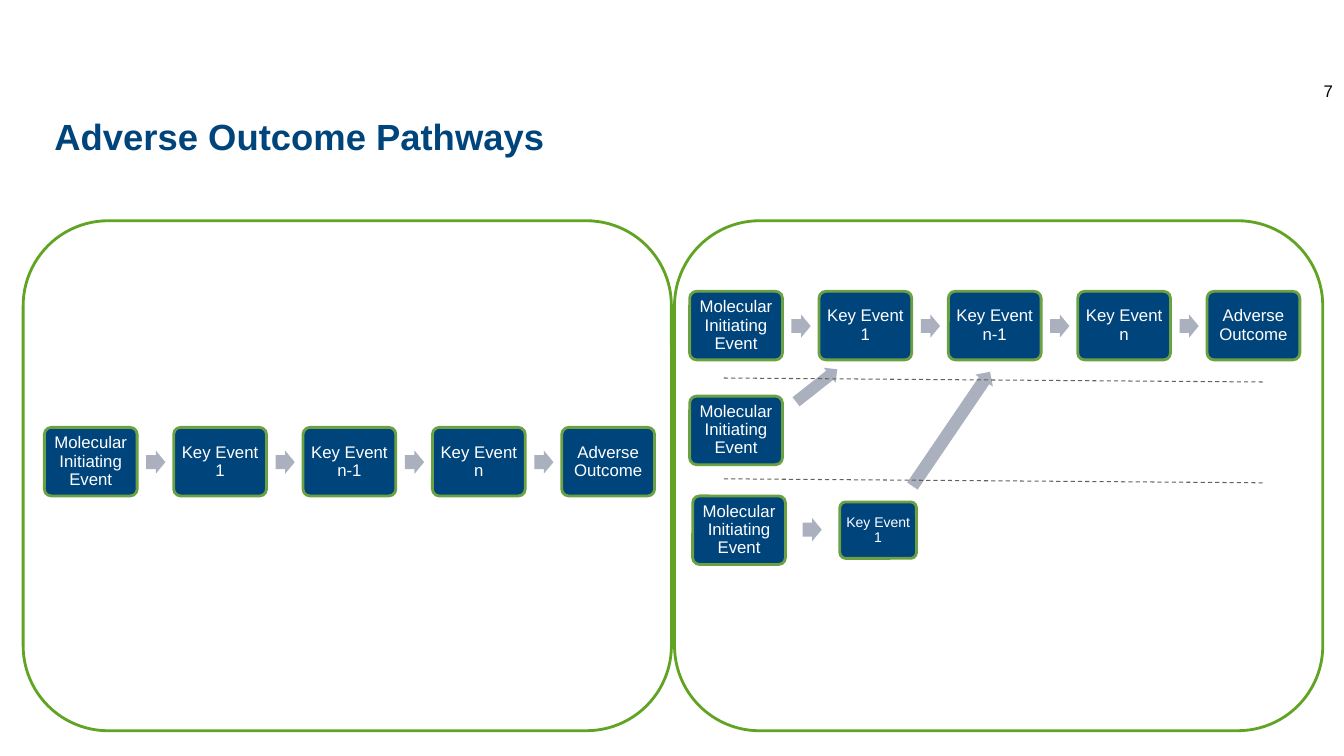
from dataclasses import dataclass
from lxml import etree
from pptx import Presentation
from pptx.dml.color import RGBColor
from pptx.enum.dml import MSO_LINE
from pptx.enum.shapes import MSO_CONNECTOR, MSO_SHAPE
from pptx.enum.text import MSO_ANCHOR, PP_ALIGN
from pptx.oxml.ns import qn
from pptx.util import Inches, Pt

ROUND, ARROW = MSO_SHAPE.ROUNDED_RECTANGLE, MSO_SHAPE.RIGHT_ARROW
STRAIGHT, DASH = MSO_CONNECTOR.STRAIGHT, MSO_LINE.DASH
TOP, MIDDLE = MSO_ANCHOR.TOP, MSO_ANCHOR.MIDDLE
LEFT, CENTER = PP_ALIGN.LEFT, PP_ALIGN.CENTER


@dataclass(frozen=True)
class Theme:
    font: str = "Arial"
    navy: RGBColor = RGBColor(0x00, 0x44, 0x7C)
    edge: RGBColor = RGBColor(0x6B, 0xA1, 0x43)
    panel: RGBColor = RGBColor(0x61, 0xA4, 0x24)
    arrow: RGBColor = RGBColor(0xAB, 0xB0, 0xBF)
    dash: RGBColor = RGBColor(0x62, 0x63, 0x57)
    white: RGBColor = RGBColor(0xFF, 0xFF, 0xFF)
    black: RGBColor = RGBColor(0x00, 0x00, 0x00)
    title: int = 26
    body: int = 12
    small: int = 10


theme = Theme()
prs = Presentation()
prs.slide_width, prs.slide_height = Inches(13.33), Inches(7.5)
slide = prs.slides.add_slide(prs.slide_layouts[5])
shapes = slide.shapes


def add_shape(kind, x, y, w, h, fill=None, line=None):
    shape = shapes.add_shape(kind, Inches(x), Inches(y), Inches(w), Inches(h))
    shape.shadow.inherit = False
    if fill is None:
        shape.fill.background()
    else:
        shape.fill.solid()
        shape.fill.fore_color.rgb = fill
    if line is None:
        shape.line.fill.background()
    else:
        shape.line.color.rgb = line
        shape.line.width = Pt(2)
    return shape


def set_text(frame, text, size, color, align=LEFT, bold=False):
    frame.text = text
    para = frame.paragraphs[0]
    para.alignment = align
    font = para.runs[0].font
    font.name, font.size, font.bold = theme.font, Pt(size), bold
    font.color.rgb = color


# Title
title = shapes.title
title.left, title.top = Inches(0.44), Inches(1.08)
title.width, title.height = Inches(12.46), Inches(0.8)
title.text_frame.vertical_anchor = TOP
set_text(title.text_frame, "Adverse Outcome Pathways", theme.title, theme.navy, bold=True)

# Panels
for x in (0.23, 6.69):
    add_shape(ROUND, x, 2.19, 6.43, 5.06, line=theme.panel)

# Event boxes: two full pathways, then the side branches
steps = ["Molecular Initiating Event", "Key Event 1", "Key Event n-1",
         "Key Event n", "Adverse Outcome"]
pitch, box_w, box_h = 1.283, 0.92, 0.68
boxes, arrows = [], []
for left, top in ((0.44, 4.24), (6.84, 2.89)):
    for i, step in enumerate(steps):
        x = left + i * pitch
        boxes.append((step, x, top, box_w, box_h, theme.body))
        if i < len(steps) - 1:
            arrows.append((x + 1.01, top + 0.23, 0.19, 0.23, 0))
boxes += [
    (steps[0], 6.84, 3.93, box_w, box_h, theme.body),
    (steps[0], 6.87, 4.92, box_w, box_h, theme.body),
    (steps[1], 8.33, 4.98, 0.76, 0.56, theme.small),
]
for text, x, y, w, h, size in boxes:
    box = add_shape(ROUND, x, y, w, h, theme.navy, theme.edge)
    box.adjustments[0] = 0.1
    frame = box.text_frame
    frame.word_wrap = True
    frame.vertical_anchor = MIDDLE
    inset = Inches(0.05 if size == theme.body else 0.04)
    frame.margin_left = frame.margin_right = inset
    frame.margin_top = frame.margin_bottom = inset
    set_text(frame, text, size, theme.white, CENTER)
    frame.paragraphs[0].line_spacing = 0.9

# Block arrows: x, y, width, height, rotation
arrows += [
    (7.84, 3.73, 0.52, 0.19, 321.7),
    (7.96, 5.14, 0.19, 0.23, 0),
    (8.75, 4.15, 1.37, 0.21, 304.2),
]
for x, y, w, h, turn in arrows:
    arrow = add_shape(ARROW, x, y, w, h, theme.arrow)
    arrow.adjustments[0], arrow.adjustments[1] = 0.6, 0.5
    arrow.rotation = turn

# Dashed dividers
for y in (3.75, 4.75):
    rule = shapes.add_connector(STRAIGHT, Inches(7.18), Inches(y),
                                Inches(12.53), Inches(y + 0.04))
    rule.line.color.rgb = theme.dash
    rule.line.width = Pt(0.75)
    rule.line.dash_style = DASH
    etree.SubElement(rule.element.spPr, qn("a:effectLst"))

# Page number
page = shapes.add_textbox(Inches(13.03), Inches(0.75), Inches(0.18), Inches(0.3))
page.text_frame.word_wrap = False
page.text_frame.margin_right = 0
set_text(page.text_frame, "7", theme.body, theme.black)

prs.save("out.pptx")
